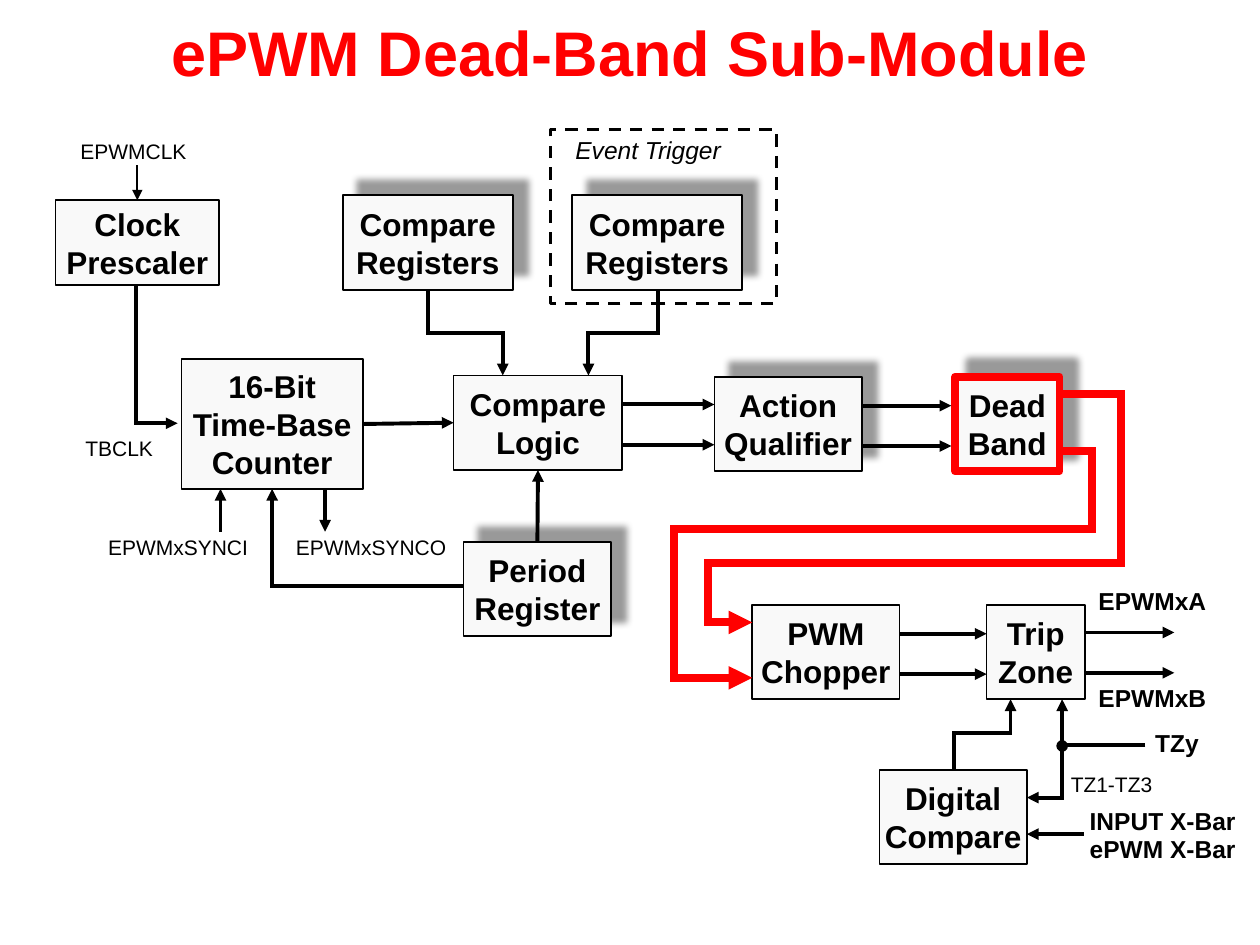
"""Builds the ePWM dead-band sub-module block diagram."""
from dataclasses import dataclass
from typing import Any

from lxml import etree
from pptx import Presentation
from pptx import util as u
from pptx.dml.color import RGBColor
from pptx.enum import dml, shapes, text
from pptx.oxml import ns

COLORS = {"ink": "000000", "accent": "FF0000", "block": "F9F9F9"}


def inches(*values):
    return [u.Inches(value) for value in values]


def color(name):
    return RGBColor.from_string(COLORS[name])


@dataclass
class Diagram:
    """Holds the slide and the style shared by its elements."""
    slide: Any
    font: str = "Arial"
    stroke: float = 2.25

    def outline(self, shape, name, width):
        shape.line.color.rgb = color(name)
        shape.line.width = u.Pt(width)

    def add_lines(self, frame, lines, size, ink="ink", bold=False, italic=False,
                  align=text.PP_ALIGN.CENTER, spacing=None, gap=0):
        for index, line in enumerate(lines):
            paragraph = frame.paragraphs[0] if index == 0 else frame.add_paragraph()
            paragraph.alignment = align
            if spacing:
                paragraph.line_spacing = spacing
            if index and gap:
                paragraph.space_before = u.Pt(gap)
            run = paragraph.add_run()
            run.text = line
            run.font.name = self.font
            run.font.size = u.Pt(size)
            run.font.bold = bold
            run.font.italic = italic
            run.font.color.rgb = color(ink)

    def title(self, line):
        frame = self.slide.shapes.add_textbox(*inches(0, 0, 10, 0.81)).text_frame
        frame.word_wrap = True
        frame.vertical_anchor = text.MSO_ANCHOR.MIDDLE
        self.add_lines(frame, [line], 36, "accent", bold=True)

    def label(self, place, lines, size=12, **style):
        frame = self.slide.shapes.add_textbox(*inches(*place)).text_frame
        frame.word_wrap = False
        style = {"align": text.PP_ALIGN.LEFT, "spacing": 0.8, **style}
        self.add_lines(frame, lines, size, **style)

    def rectangle(self, place):
        shape = self.slide.shapes.add_shape(shapes.MSO_SHAPE.RECTANGLE, *inches(*place))
        shape.shadow.inherit = False
        return shape

    def dashed_frame(self, place):
        shape = self.rectangle(place)
        shape.fill.background()
        self.outline(shape, "ink", 1.75)
        shape.line.dash_style = dml.MSO_LINE.DASH

    def block(self, place, lines, shadow=False, line="ink", width=1):
        shape = self.rectangle(place)
        shape.fill.solid()
        shape.fill.fore_color.rgb = color("block")
        self.outline(shape, line, width)
        if shadow:
            self.cast_shadow(shape)
        frame = shape.text_frame
        frame.word_wrap = False
        frame.vertical_anchor = text.MSO_ANCHOR.MIDDLE
        frame.margin_left = frame.margin_right = 0
        frame.margin_top = frame.margin_bottom = 0
        self.add_lines(frame, lines, 18, bold=True)
        return shape

    def cast_shadow(self, shape):
        effects = shape._element.spPr.find(ns.qn("a:effectLst"))
        shadow = etree.SubElement(
            effects, ns.qn("a:outerShdw"), blurRad=str(u.Pt(4)), dist=str(u.Pt(12)),
            dir=str(315 * 60000), algn="ctr", rotWithShape="0")
        tint = etree.SubElement(shadow, ns.qn("a:srgbClr"), val=COLORS["ink"])
        etree.SubElement(tint, ns.qn("a:alpha"), val="40000")

    def arrowhead(self, shape, start=None):
        line = shape._element.spPr.find(ns.qn("a:ln"))
        etree.SubElement(line, ns.qn("a:miter"), lim="800000")
        if start:
            etree.SubElement(line, ns.qn("a:headEnd"), type=start)
        etree.SubElement(line, ns.qn("a:tailEnd"), type="triangle")

    def arrow(self, start, end, width=None, source=None, target=None):
        connector = self.slide.shapes.add_connector(
            shapes.MSO_CONNECTOR.STRAIGHT, *inches(*start, *end))
        if source:
            connector.begin_connect(*source)
        if target:
            connector.end_connect(*target)
        self.outline(connector, "ink", width or self.stroke)
        self.arrowhead(connector)
        etree.SubElement(connector._element.spPr, ns.qn("a:effectLst"))

    def route(self, points, line="ink", width=None, start=None):
        corners = [inches(*point) for point in points]
        builder = self.slide.shapes.build_freeform(*corners[0])
        builder.add_line_segments(corners[1:], close=False)
        shape = builder.convert_to_shape()
        shape.shadow.inherit = False
        shape.fill.background()
        self.outline(shape, line, width or self.stroke)
        self.arrowhead(shape, start)


def main():
    presentation = Presentation()
    presentation.slide_width, presentation.slide_height = inches(10, 7.5)
    diagram = Diagram(presentation.slides.add_slide(presentation.slide_layouts[6]))

    diagram.title("ePWM Dead-Band Sub-Module")
    diagram.dashed_frame((4.37, 1.03, 1.79, 1.38))

    clock = diagram.block((0.44, 1.59, 1.3, 0.67), ["Clock", "Prescaler"])
    counter = diagram.block((1.44, 2.85, 1.44, 1.03), ["16-Bit", "Time-Base", "Counter"])
    logic = diagram.block((3.6, 2.98, 1.34, 0.75), ["Compare", "Logic"])
    period = diagram.block((3.68, 4.3, 1.17, 0.75), ["Period", "Register"], shadow=True)
    for left in (2.72, 4.54):
        diagram.block((left, 1.55, 1.35, 0.75), ["Compare", "Registers"], shadow=True)
    diagram.block((5.67, 2.99, 1.17, 0.75), ["Action", "Qualifier"], shadow=True)
    diagram.block((7.58, 2.99, 0.83, 0.75), ["Dead", "Band"], True, "accent", 4.5)
    diagram.block((5.97, 4.8, 1.17, 0.75), ["PWM", "Chopper"])
    diagram.block((7.83, 4.8, 0.78, 0.75), ["Trip", "Zone"])
    diagram.block((6.98, 6.11, 1.17, 0.75), ["Digital", "Compare"])

    diagram.arrow((1.09, 1.31), (1.09, 1.59), width=1, target=(clock, 0))
    diagram.arrow((2.88, 3.36), (3.6, 3.36), source=(counter, 3), target=(logic, 1))
    diagram.arrow((4.27, 4.3), (4.27, 3.73), source=(period, 0), target=(logic, 2))
    diagram.arrow((1.75, 4.22), (1.75, 3.88))
    diagram.arrow((2.58, 3.88), (2.58, 4.22))
    diagram.arrow((8.6, 6.62), (8.15, 6.62))
    for left, right, top in ((4.94, 5.67, 3.21), (6.84, 7.55, 3.22),
                             (7.14, 7.83, 5.03), (8.61, 9.32, 5.02)):
        for y in (top, top + 0.32):
            diagram.arrow((left, y), (right, y))

    for points in (
        [(1.08, 2.26), (1.08, 3.36), (1.41, 3.36)],
        [(3.68, 4.65), (2.16, 4.65), (2.16, 3.88)],
        [(3.4, 2.3), (3.4, 2.64), (3.99, 2.64), (3.99, 2.98)],
        [(5.22, 2.3), (5.22, 2.64), (4.67, 2.64), (4.67, 2.98)],
        [(7.57, 6.11), (7.57, 5.82), (8.02, 5.82), (8.02, 5.55)],
        [(9.09, 5.91), (8.43, 5.91), (8.43, 5.55)],
    ):
        diagram.route(points)
    diagram.route([(8.43, 5.92), (8.43, 6.33), (8.15, 6.33)], start="oval")
    for top, right, middle, left, bottom in ((3.58, 8.67, 4.2, 5.35, 5.38),
                                             (3.13, 8.9, 4.47, 5.62, 4.94)):
        diagram.route([(8.42, top), (right, top), (right, middle), (left, middle),
                       (left, bottom), (5.97, bottom)], "accent", 4.5)

    for left, top, width, line in ((0.54, 1.09, 1.05, "EPWMCLK"), (0.58, 3.45, 0.74, "TBCLK"),
                                   (0.76, 4.23, 1.31, "EPWMxSYNCI"),
                                   (2.25, 4.23, 1.4, "EPWMxSYNCO"),
                                   (8.4, 6.11, 0.86, "TZ1-TZ3")):
        diagram.label((left, top, width, 0.26), [line])
    for left, top, width, line in ((8.62, 4.65, 1.06, "EPWMxA"), (8.62, 5.42, 1.06, "EPWMxB"),
                                   (9.07, 5.77, 0.55, "TZy")):
        diagram.label((left, top, width, 0.29), [line], 14, bold=True)
    diagram.label((8.55, 6.39, 1.37, 0.52), ["INPUT X-Bar", "ePWM X-Bar"], 14, bold=True, gap=3)
    diagram.label((4.46, 1.02, 1.37, 0.34), ["Event Trigger"], 14, italic=True,
                  align=text.PP_ALIGN.CENTER, spacing=None)

    presentation.save("out.pptx")


if __name__ == "__main__":
    main()
